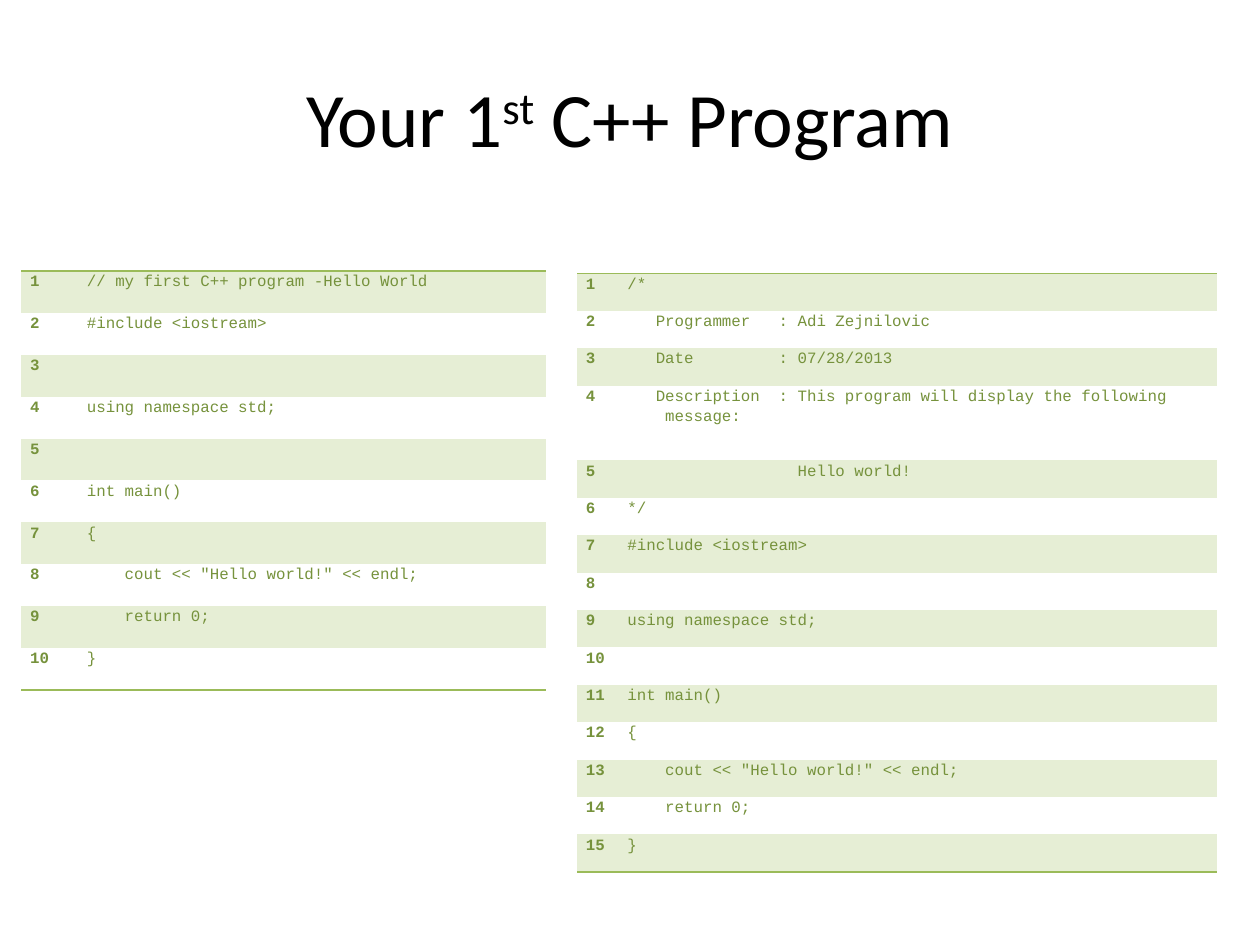
from dataclasses import dataclass

from lxml import etree
from pptx import Presentation
from pptx.dml.color import RGBColor
from pptx.enum.text import MSO_ANCHOR, PP_ALIGN
from pptx.oxml import parse_xml
from pptx.oxml.ns import nsdecls, qn
from pptx.util import Inches, Pt


@dataclass(frozen=True)
class Theme:
    title_font: str = "Calibri"
    code_font: str = "Courier New"
    title_size: int = 44
    code_size: int = 9
    title_color: str = "000000"
    code_color: str = "76923C"
    band_color: str = "E6EED5"
    rule_color: str = "9BBB59"
    plain_table: str = "{2D5ABB26-0587-4C30-8999-92F81FD0307C}"


theme = Theme()


def write(paragraph, text, *, font, size, color, bold=False, baseline=0):
    if not text:
        # An empty line still needs the code size to keep its row height
        etree.SubElement(paragraph._p, qn("a:endParaRPr"), sz=str(size * 100))
        return
    run = paragraph.add_run()
    run.text = text
    run.font.name = font
    run.font.size = Pt(size)
    run.font.bold = bold
    run.font.color.rgb = RGBColor.from_string(color)
    if baseline:
        run.font._element.set("baseline", str(baseline * 1000))


def rule(cell, side):
    cell._tc.get_or_add_tcPr().insert(0, parse_xml(
        f'<a:ln{side} {nsdecls("a")} w="12700"><a:solidFill>'
        f'<a:srgbClr val="{theme.rule_color}"/></a:solidFill></a:ln{side}>'))


prs = Presentation()
prs.slide_width, prs.slide_height = Inches(10), Inches(7.5)
slide = prs.slides.add_slide(prs.slide_layouts[6])

# Title
title = slide.shapes.add_textbox(Inches(0.5), Inches(0.3), Inches(9), Inches(1.25)).text_frame
title.word_wrap = True
title.vertical_anchor = MSO_ANCHOR.MIDDLE
heading = title.paragraphs[0]
heading.alignment = PP_ALIGN.CENTER
for words, raised in [("Your 1", 0), ("st", 30), (" C++ Program", 0)]:
    write(heading, words, font=theme.title_font, size=theme.title_size,
          color=theme.title_color, baseline=raised)

# Code shared by both listings
program = [
    "#include <iostream>",
    "",
    "using namespace std;",
    "",
    "int main()",
    "{",
    '    cout << "Hello world!" << endl;',
    "    return 0;",
    "}",
]
short_comment = ["// my first C++ program -Hello World"]
long_comment = [
    "/*",
    "   Programmer   : Adi Zejnilovic",
    "   Date         : 07/28/2013",
    "   Description  : This program will display the following         message:",
    "                  Hello world!",
    "*/",
]

# Listings: left, top, number width, code width, line height, double-height line, code
listings = [
    (0.17, 2.15, 0.45, 3.71, 0.333, None, short_comment + program),
    (4.58, 2.17, 0.33, 4.75, 0.297, 4, long_comment + program),
]
for left, top, number_width, code_width, line_height, double_line, code in listings:
    listing = slide.shapes.add_table(
        len(code), 2, Inches(left), Inches(top),
        Inches(number_width + code_width), Inches(line_height * len(code))).table
    listing.first_row = listing.horz_banding = False
    listing._tbl.tblPr.find(qn("a:tableStyleId")).text = theme.plain_table
    listing.columns[0].width = Inches(number_width)
    listing.columns[1].width = Inches(code_width)

    for number, line in enumerate(code, start=1):
        row = listing.rows[number - 1]
        row.height = Inches(line_height * (2 if number == double_line else 1))
        for cell, text, bold in zip(row.cells, (str(number), line), (True, False)):
            cell.margin_left = cell.margin_right = Inches(0.07)
            cell.margin_top = cell.margin_bottom = 0
            paragraph = cell.text_frame.paragraphs[0]
            paragraph.line_spacing = 1.15
            write(paragraph, text, font=theme.code_font, size=theme.code_size,
                  color=theme.code_color, bold=bold)
            # Odd lines are banded
            if number % 2:
                cell.fill.solid()
                cell.fill.fore_color.rgb = RGBColor.from_string(theme.band_color)
            else:
                cell.fill.background()
            # Rules above the first line and below the last
            if number == 1:
                rule(cell, "T")
            if number == len(code):
                rule(cell, "B")

prs.save("out.pptx")
